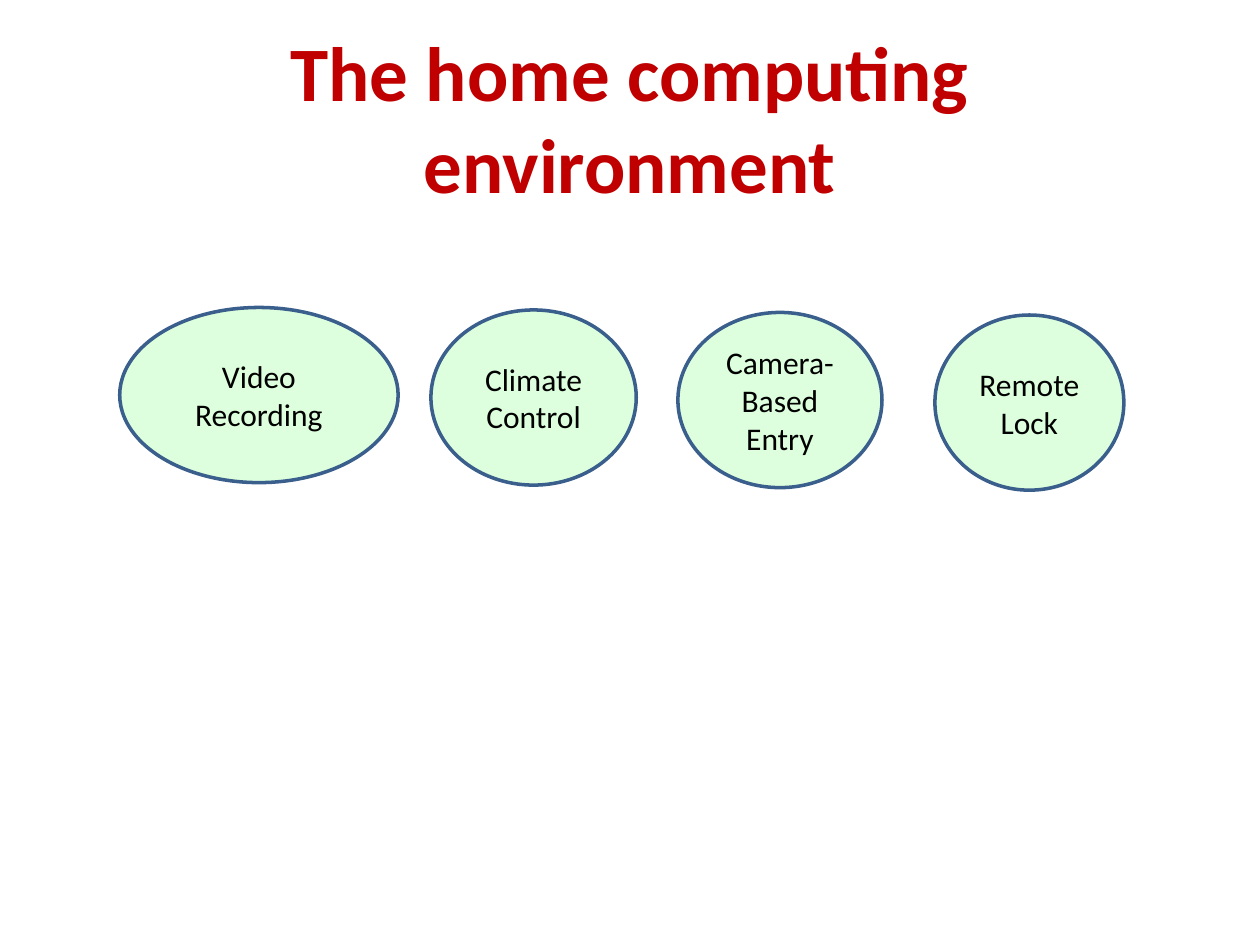
from lxml.etree import SubElement
from pptx import Presentation
from pptx.dml.color import RGBColor
from pptx.enum.shapes import MSO_SHAPE
from pptx.enum.text import MSO_ANCHOR, PP_ALIGN
from pptx.oxml.ns import qn
from pptx.util import Inches, Pt

THEME = {
    "fill": RGBColor.from_string("CCFFCC"),
    "fill_alpha": 65,
    "outline": RGBColor.from_string("3A5F8C"),
    "outline_width": Pt(2),
    "title": {"name": "Calibri", "size": Pt(44), "bold": True,
              "color": RGBColor.from_string("C00000")},
    "label": {"name": "Calibri", "size": Pt(18), "bold": False,
              "color": RGBColor.from_string("000000")},
}


def write_centred(box, lines, style):
    frame = box.text_frame
    frame.word_wrap = True
    frame.vertical_anchor = MSO_ANCHOR.MIDDLE
    for index, line in enumerate(lines):
        para = frame.add_paragraph() if index else frame.paragraphs[0]
        para.alignment = PP_ALIGN.CENTER
        span = para.add_run()
        span.text = line
        for name, value in style.items():
            if name == "color":
                span.font.color.rgb = value
            else:
                setattr(span.font, name, value)


deck = Presentation()
deck.slide_width, deck.slide_height = Inches(10), Inches(7.5)
page = deck.slides.add_slide(deck.slide_layouts[6])
width, height = deck.slide_width, deck.slide_height

# Title: side insets keep the last word on its own line
title = page.shapes.add_textbox(
    int(width * 0.05), int(height * 0.04), int(width * 0.9), Inches(1.25))
title.text_frame.margin_left = title.text_frame.margin_right = Inches(0.2)
write_centred(title, ["The home computing environment"], THEME["title"])

# Home applications: left edge and width in inches, label lines
applications = [
    (0.95, 2.21, ["Video Recording"]),
    (3.42, 1.63, ["Climate", "Control"]),
    (5.38, 1.62, ["Camera-Based Entry"]),
    (7.42, 1.5, ["Remote Lock"]),
]
row_top, row_step, row_height = 2.44, 0.02, 1.39

for column, (left, span_width, lines) in enumerate(applications):
    oval = page.shapes.add_shape(
        MSO_SHAPE.OVAL, Inches(left), Inches(row_top + column * row_step),
        Inches(span_width), Inches(row_height))
    oval.shadow.inherit = False
    oval.fill.solid()
    oval.fill.fore_color.rgb = THEME["fill"]
    color = oval.fill._xPr.find(qn("a:solidFill"))[0]
    SubElement(color, qn("a:alpha"), val=str(THEME["fill_alpha"] * 1000))
    oval.line.color.rgb = THEME["outline"]
    oval.line.width = THEME["outline_width"]
    write_centred(oval, lines, THEME["label"])

deck.save("out.pptx")
